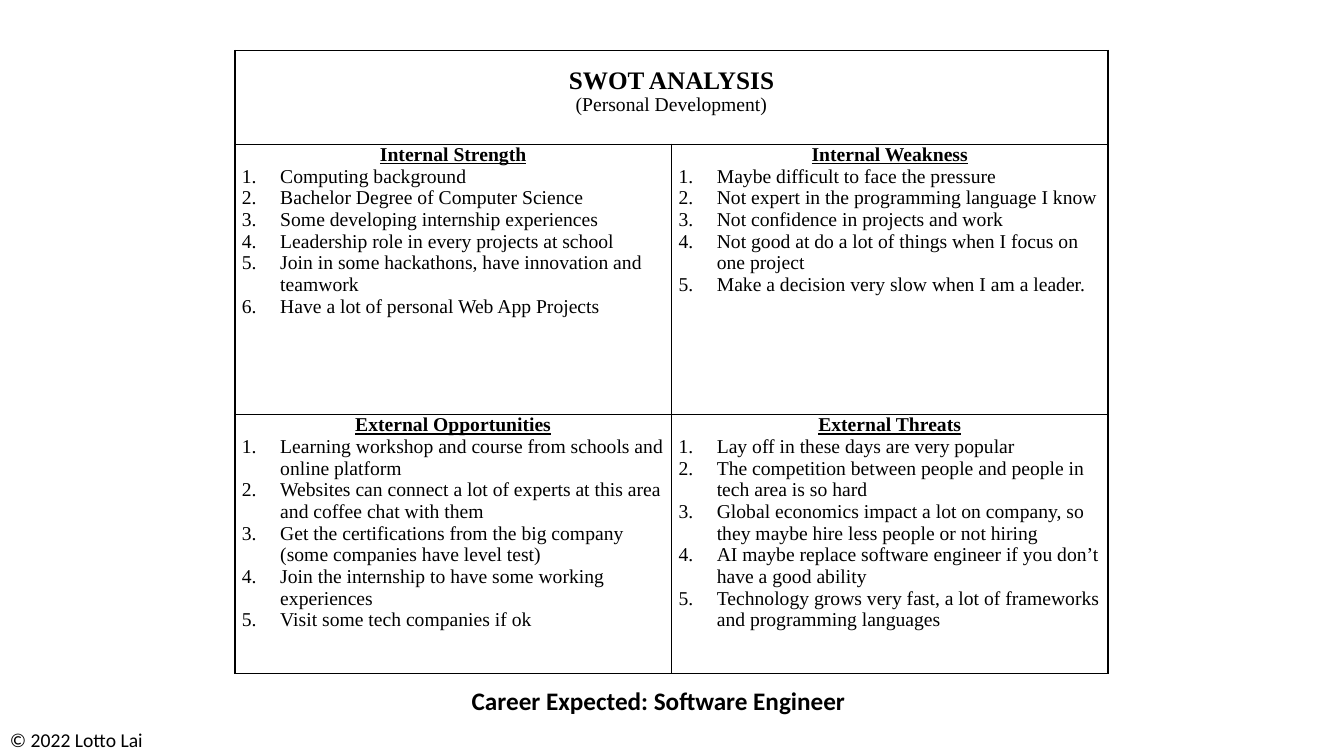
from lxml import etree
from pptx import Presentation
from pptx import util as u
from pptx.dml.color import RGBColor
from pptx.enum import text
from pptx.oxml.ns import qn

Inches, Pt = u.Inches, u.Pt
BLACK = "000000"
SERIF, SANS = "Times New Roman", "Calibri"

TITLE = "SWOT ANALYSIS"
SUBTITLE = "(Personal Development)"
QUADRANTS = [
    [
        ("Internal Strength", [
            "Computing background",
            "Bachelor Degree of Computer Science",
            "Some developing internship experiences",
            "Leadership role in every projects at school",
            "Join in some hackathons, have innovation and teamwork",
            "Have a lot of personal Web App Projects",
        ]),
        ("Internal Weakness", [
            "Maybe difficult to face the pressure",
            "Not expert in the programming language I know",
            "Not confidence in projects and work",
            "Not good at do a lot of things when I focus on one project",
            "Make a decision very slow when I am a leader.",
        ]),
    ],
    [
        ("External Opportunities", [
            "Learning workshop and course from schools and online platform",
            "Websites can connect a lot of experts at this area and coffee chat with them",
            "Get the certifications from the big company (some companies have level test)",
            "Join the internship to have some working experiences",
            "Visit some tech companies if ok",
        ]),
        ("External Threats", [
            "Lay off in these days are very popular",
            "The competition between people and people in tech area is so hard",
            "Global economics impact a lot on company, so they maybe hire less people or not hiring",
            "AI maybe replace software engineer if you don’t have a good ability",
            "Technology grows very fast, a lot of frameworks and programming languages",
        ]),
    ],
]
# text, left, top, width, height, size, bold
CAPTIONS = [
    ("© 2022 Lotto Lai", 0, 7.17, 1.54, 0.34, 14, False),
    ("Career Expected: Software Engineer", 4.58, 6.75, 3.94, 0.4, 18, True),
]
TABLE_LEFT, TABLE_TOP = 2.33, 0.5
COLUMN_WIDTH = 4.33
ROW_HEIGHTS = [0.93, 2.68, 2.57]


def color(hex_string):
    return RGBColor.from_string(hex_string)


def add_run(paragraph, words, font_name, size, bold=False, underline=False):
    run = paragraph.add_run()
    run.text = words
    font = run.font
    font.name, font.size, font.bold, font.underline = font_name, Pt(size), bold, underline
    font.color.rgb = color(BLACK)


def style_cell(cell):
    """Give a cell black 1 pt borders, no fill and narrow margins."""
    properties = cell._tc.get_or_add_tcPr()
    for side in ("lnL", "lnR", "lnT", "lnB"):
        line = etree.SubElement(properties, qn(f"a:{side}"), w=str(Pt(1)))
        fill = etree.SubElement(line, qn("a:solidFill"))
        etree.SubElement(fill, qn("a:srgbClr"), val=BLACK)
    cell.fill.background()
    cell.margin_left = cell.margin_right = Inches(0.07)
    cell.margin_top = cell.margin_bottom = 0


def number_paragraph(paragraph):
    properties = paragraph._p.get_or_add_pPr()
    properties.set("marL", str(Inches(0.38)))
    properties.set("indent", str(-Inches(0.38)))
    etree.SubElement(properties, qn("a:buFont"), typeface="+mj-lt")
    etree.SubElement(properties, qn("a:buAutoNum"), type="arabicPeriod")
    tabs = etree.SubElement(properties, qn("a:tabLst"))
    etree.SubElement(tabs, qn("a:tab"), pos=str(Inches(0.25)), algn="l")


def fill_quadrant(cell, heading, items):
    frame = cell.text_frame
    paragraph = frame.paragraphs[0]
    paragraph.alignment = text.PP_ALIGN.CENTER
    add_run(paragraph, heading, SERIF, 14, bold=True, underline=True)
    for item in items:
        paragraph = frame.add_paragraph()
        number_paragraph(paragraph)
        add_run(paragraph, item, SERIF, 14)


def add_swot_table(slide):
    table = slide.shapes.add_table(
        len(ROW_HEIGHTS), 2, Inches(TABLE_LEFT), Inches(TABLE_TOP),
        Inches(2 * COLUMN_WIDTH), Inches(sum(ROW_HEIGHTS))).table
    table.first_row = table.horz_banding = False
    for column in table.columns:
        column.width = Inches(COLUMN_WIDTH)
    for row, height in zip(table.rows, ROW_HEIGHTS):
        row.height = Inches(height)
    for cell in table.iter_cells():
        style_cell(cell)

    header = table.cell(0, 0)
    header.merge(table.cell(0, 1))
    header.margin_top = Inches(0.16)
    frame = header.text_frame
    title, subtitle = frame.paragraphs[0], frame.add_paragraph()
    title.alignment = subtitle.alignment = text.PP_ALIGN.CENTER
    add_run(title, TITLE, SERIF, 18, bold=True)
    add_run(subtitle, SUBTITLE, SERIF, 14)

    for row_index, quadrants in enumerate(QUADRANTS, start=1):
        for column_index, (heading, items) in enumerate(quadrants):
            fill_quadrant(table.cell(row_index, column_index), heading, items)


def add_caption(slide, words, left, top, width, height, size, bold):
    box = slide.shapes.add_textbox(*map(Inches, (left, top, width, height)))
    frame = box.text_frame
    frame.word_wrap = False
    frame.auto_size = text.MSO_AUTO_SIZE.SHAPE_TO_FIT_TEXT
    add_run(frame.paragraphs[0], words, SANS, size, bold)


def main():
    presentation = Presentation()
    presentation.slide_width, presentation.slide_height = Inches(13.33), Inches(7.5)
    slide = presentation.slides.add_slide(presentation.slide_layouts[6])
    add_swot_table(slide)
    for caption in CAPTIONS:
        add_caption(slide, *caption)
    presentation.save("out.pptx")


if __name__ == "__main__":
    main()
